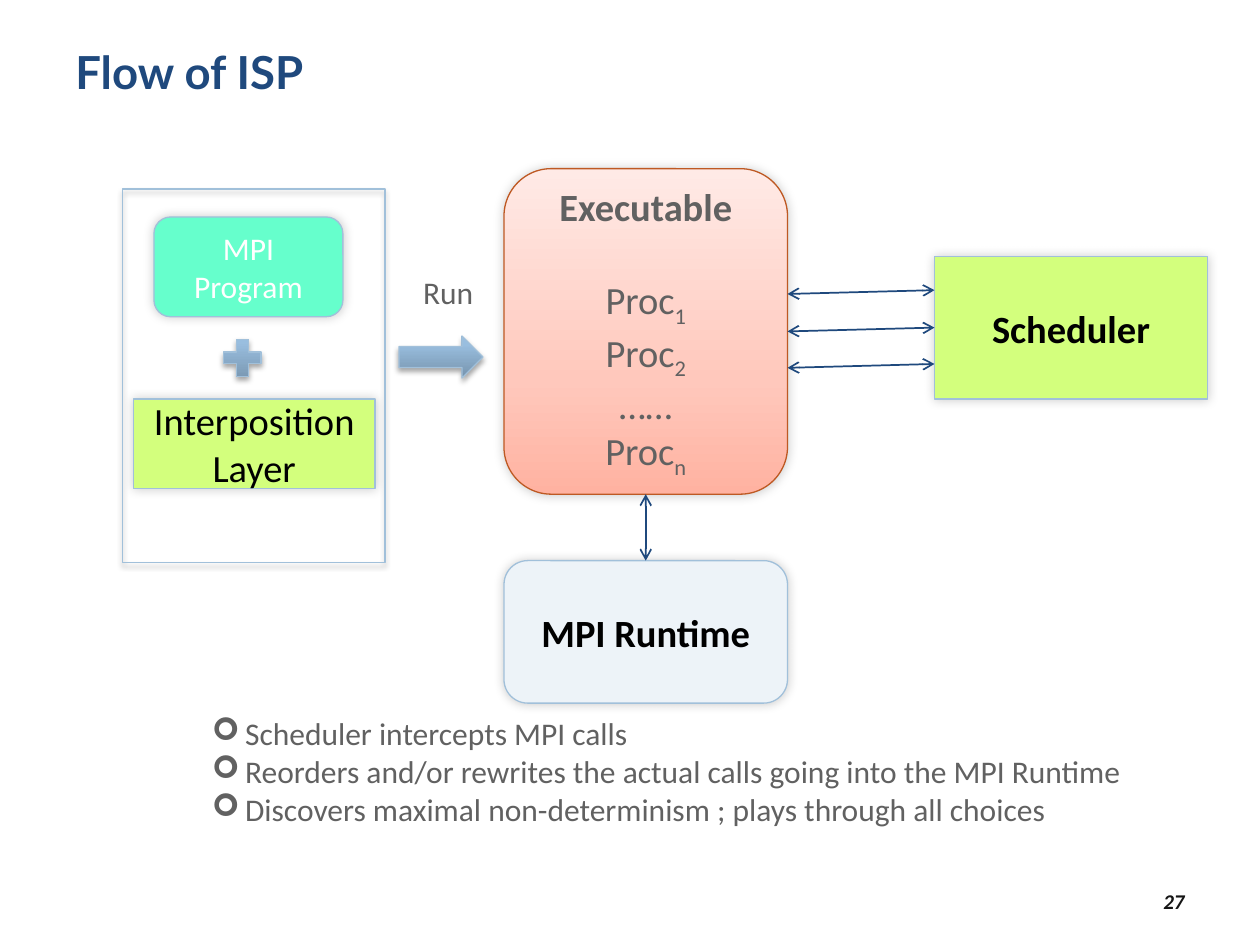
from lxml import etree
from pptx import Presentation
from pptx.dml.color import RGBColor
from pptx.enum.shapes import MSO_CONNECTOR, MSO_SHAPE
from pptx.enum.text import MSO_ANCHOR, MSO_AUTO_SIZE, PP_ALIGN
from pptx.oxml.ns import qn
from pptx.util import Pt

RECT = MSO_SHAPE.RECTANGLE
ROUNDED = MSO_SHAPE.ROUNDED_RECTANGLE
PLUS = MSO_SHAPE.MATH_PLUS
ARROW = MSO_SHAPE.RIGHT_ARROW
STRAIGHT = MSO_CONNECTOR.STRAIGHT
LEFT, CENTER, RIGHT = PP_ALIGN.LEFT, PP_ALIGN.CENTER, PP_ALIGN.RIGHT
TOP, MIDDLE = MSO_ANCHOR.TOP, MSO_ANCHOR.MIDDLE
FIT_SHAPE = MSO_AUTO_SIZE.SHAPE_TO_FIT_TEXT

COLORS = {
    "navy": "1F497D", "number": "151515", "gray": "616161", "black": "000000",
    "white": "FFFFFF", "lime": "D3FF7D", "mint": "66FFCC", "pale": "EDF3F8",
    "border": "A1C0DA", "rust": "BE5923",
}
SALMON = [(0, "FFB2A1"), (35, "FFC8BC"), (100, "FFEAE6")]
STEEL = [(0, "7693AC"), (80, "99BEDF"), (100, "98BFE2")]
GLOW = {"alpha": 20, "blur": 6, "dist": 0, "angle": 225}
DROP = {"alpha": 35, "blur": 3.1, "dist": 1.8, "angle": 90}


def rgb(name):
    """Return the named colour."""
    return RGBColor.from_string(COLORS[name])


def add_child(parent, tag, **attributes):
    """Append a DrawingML element with the given attributes."""
    values = {key: str(value) for key, value in attributes.items()}
    return etree.SubElement(parent, qn(tag), values)


def add_run(paragraph, text, size, color, bold=False, italic=False, font="Calibri", subscript=False):
    """Add one styled run to a paragraph."""
    run = paragraph.add_run()
    run.text = text
    run.font.name = font
    run.font.size = Pt(size)
    run.font.bold = bold
    run.font.italic = italic
    run.font.color.rgb = rgb(color)
    if subscript:
        run._r.get_or_add_rPr().set("baseline", "-25000")


def next_paragraph(frame, align):
    """Return the first paragraph while it is empty, otherwise a new one."""
    first = frame.paragraphs[0]
    paragraph = frame.add_paragraph() if first.runs else first
    paragraph.alignment = align
    return paragraph


def add_text(slide, box, lines, align=LEFT, anchor=TOP, wrap=True, fit=False, **style):
    """Add a text box with one paragraph per line."""
    frame = slide.shapes.add_textbox(*map(Pt, box)).text_frame
    frame.word_wrap = wrap
    frame.vertical_anchor = anchor
    if fit:
        frame.auto_size = FIT_SHAPE
    for line in lines:
        add_run(next_paragraph(frame, align), line, **style)
    return frame


def add_bullets(frame, color, indent):
    """Give every paragraph an arrowhead bullet with a hanging indent."""
    for paragraph in frame.paragraphs:
        properties = paragraph._p.get_or_add_pPr()
        properties.set("marL", str(Pt(indent)))
        properties.set("indent", str(-Pt(indent)))
        bullet_color = add_child(properties, "a:buClr")
        add_child(bullet_color, "a:srgbClr", val=COLORS[color])
        add_child(properties, "a:buFont", typeface="Wingdings")
        add_child(properties, "a:buChar", char="➢")


def paint_gradient(shape, stops):
    """Fill a shape with a gradient that rises from the bottom edge."""
    shape.fill.gradient()
    shape.fill.gradient_angle = 90
    stop_list = next(shape._element.spPr.iter(qn("a:gsLst")))
    for old_stop in list(stop_list):
        stop_list.remove(old_stop)
    for percent, color in stops:
        stop = add_child(stop_list, "a:gs", pos=percent * 1000)
        add_child(stop, "a:srgbClr", val=color)


def cast_shadow(shape, alpha, blur, dist, angle):
    """Give a shape a soft black outer shadow."""
    shape.shadow.inherit = False
    effects = shape._element.spPr.find(qn("a:effectLst"))
    shadow = add_child(effects, "a:outerShdw", blurRad=Pt(blur), dist=Pt(dist),
                       dir=angle * 60000, algn="ctr", rotWithShape=0)
    color = add_child(shadow, "a:srgbClr", val=COLORS["black"])
    add_child(color, "a:alpha", val=alpha * 1000)


def add_block(parent, kind, box, fill=None, border="border", shadow=GLOW):
    """Add a bordered block with a plain, gradient or empty fill."""
    block = parent.shapes.add_shape(kind, *map(Pt, box))
    if fill is None:
        block.fill.background()
    elif isinstance(fill, list):
        paint_gradient(block, fill)
    else:
        block.fill.solid()
        block.fill.fore_color.rgb = rgb(fill)
    block.line.color.rgb = rgb(border)
    block.line.width = Pt(0.75)
    cast_shadow(block, **shadow)
    return block


def label_block(block, text, size=22, color="black", bold=False):
    """Write a centred label into a block."""
    frame = block.text_frame
    frame.word_wrap = True
    frame.vertical_anchor = MIDDLE
    add_run(next_paragraph(frame, CENTER), text, size, color, bold)
    return frame


def list_processes(frame):
    """List the processes below the heading of the executable."""
    for index, (name, number) in enumerate([("Proc", "1"), ("Proc", "2"), ("……", ""), ("Proc", "n")]):
        process = next_paragraph(frame, CENTER)
        if index == 0:
            process.space_before = Pt(26.8)
        add_run(process, name, 22, "gray")
        if number:
            add_run(process, number, 22, "gray", subscript=True)


def add_link(slide, start, end):
    """Add a line with open arrowheads at both ends."""
    link = slide.shapes.add_connector(STRAIGHT, *map(Pt, start + end))
    link.line.color.rgb = rgb("navy")
    link.line.width = Pt(1)
    outline = link.line._get_or_add_ln()
    for tag in ("a:headEnd", "a:tailEnd"):
        add_child(outline, tag, type="arrow")
    add_child(link._element.spPr, "a:effectLst")


def add_sources(slide):
    """Add the framed group of program and interposition layer."""
    sources = slide.shapes.add_group_shape()
    program = add_block(sources, ROUNDED, (88, 124, 108, 57), "mint")
    label_block(program, "MPI Program", 18, "white")
    layer = add_block(sources, RECT, (76.3, 228, 138, 51), "lime")
    label_block(layer, "Interposition Layer")
    add_block(sources, PLUS, (124, 190, 29, 29), STEEL, shadow=DROP)
    add_block(sources, RECT, (70, 108, 150, 213.4), shadow=DROP)


def main():
    """Build the slide and save it."""
    deck = Presentation()
    deck.slide_width, deck.slide_height = Pt(720), Pt(540)
    slide = deck.slides.add_slide(deck.slide_layouts[6])

    add_text(slide, (36, 21.6, 648, 62.6), ["Flow of ISP"], size=26, color="navy", bold=True, font="Lato")
    add_text(slide, (516, 500.4, 168, 28.8), ["27"], RIGHT, MIDDLE, size=12, color="number", bold=True, italic=True)

    executable = add_block(slide, ROUNDED, (288, 96.4, 162, 186), SALMON, "rust")
    list_processes(label_block(executable, "Executable", color="gray", bold=True))
    scheduler = add_block(slide, RECT, (534, 146.6, 156, 81.4), "lime")
    label_block(scheduler, "Scheduler", bold=True)
    add_text(slide, (234.7, 152.6, 44, 29), ["Run"], wrap=False, fit=True, size=18, color="gray")
    runtime = add_block(slide, ROUNDED, (288, 320.4, 162, 81.4), "pale")
    label_block(runtime, "MPI Runtime", bold=True)

    summary = add_text(slide, (114, 404.6, 545, 72.7), [
        "Scheduler intercepts MPI calls",
        "Reorders and/or rewrites the actual calls going into the MPI Runtime",
        "Discovers maximal non-determinism ; plays through all choices",
    ], fit=True, size=18, color="gray")
    add_bullets(summary, "gray", 19)

    add_sources(slide)
    add_block(slide, ARROW, (228, 192, 48, 24), STEEL, shadow=DROP)

    for level in (168, 189.4, 210.2):
        add_link(slide, (450, level), (534, level - 2.2))
    add_link(slide, (369, 320.4), (369, 282.4))

    deck.save("out.pptx")


if __name__ == "__main__":
    main()
